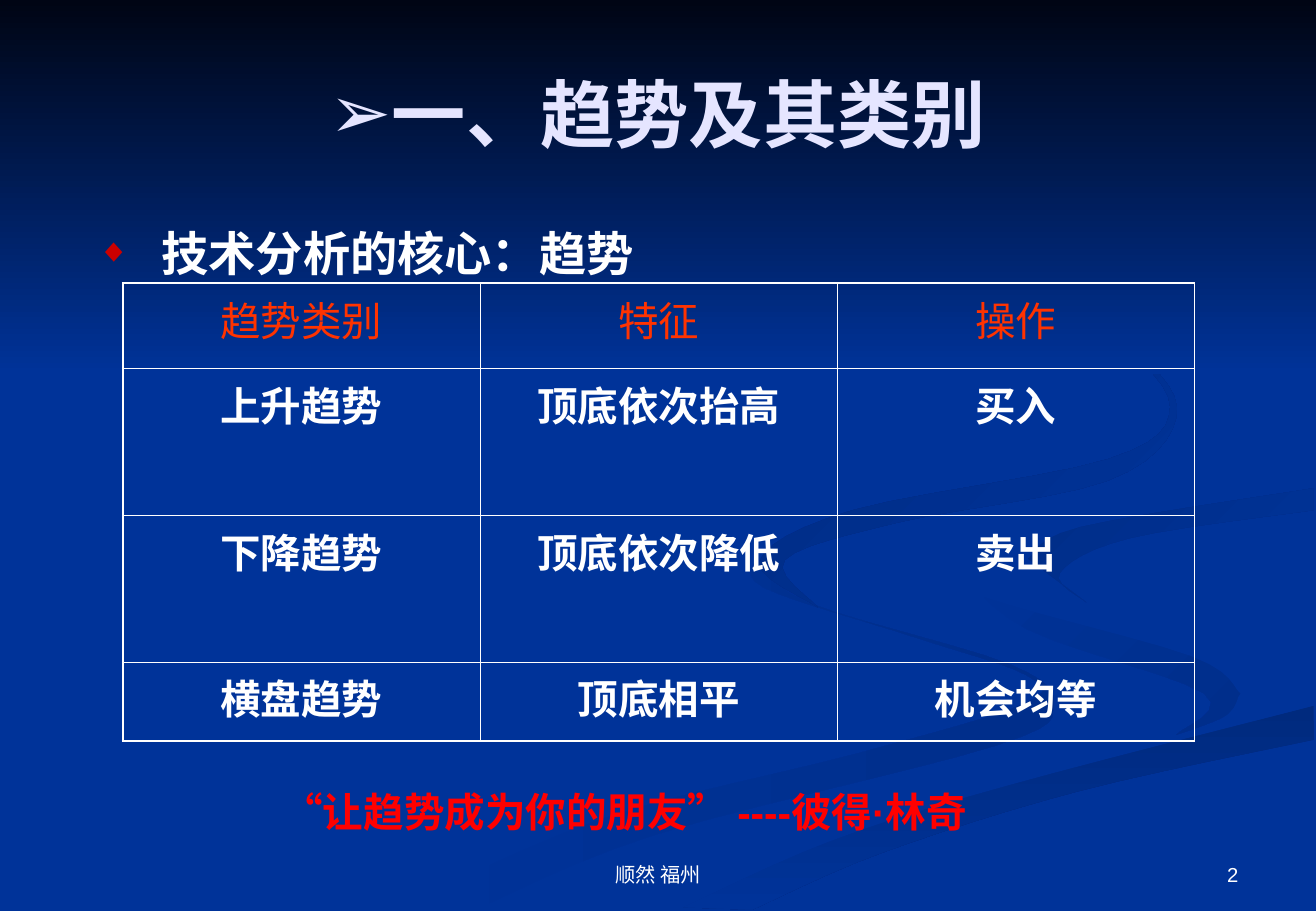
from lxml import etree
from pptx import Presentation
from pptx.dml.color import RGBColor
from pptx.enum.shapes import MSO_SHAPE
from pptx.enum.text import MSO_ANCHOR, MSO_AUTO_SIZE, PP_ALIGN
from pptx.oxml.ns import qn
from pptx.util import Inches, Pt

LEFT, CENTER, RIGHT = PP_ALIGN.LEFT, PP_ALIGN.CENTER, PP_ALIGN.RIGHT
TOP, MIDDLE, BOTTOM = MSO_ANCHOR.TOP, MSO_ANCHOR.MIDDLE, MSO_ANCHOR.BOTTOM
FIT = MSO_AUTO_SIZE.SHAPE_TO_FIT_TEXT
RECTANGLE = MSO_SHAPE.RECTANGLE
SANS, SERIF, CJK = "Arial", "Times New Roman", "Noto Sans CJK SC"

COLORS = {
    "blue": "003399", "night": "000514", "title": "E5E5FF", "white": "FFFFFF",
    "diamond": "CC0000", "header": "FF3300", "quote": "FF0000",
    "shade1": "002E8B", "shade2": "002A7E", "shade3": "002D87", "shade4": "002B82",
}

# Edges of the wide background band, shared by neighbouring ribbons
BAND_TOP = [(10.81, 3.87), (8.98, 4.15), (8.03, 4.39), (7.84, 4.64)]
BAND_MID = [(7.84, 4.64), (8.06, 4.9), (9.8, 5.4), (10.21, 5.71)]
BAND_LOW = [(10.21, 5.71), (9.87, 6), (8.05, 6.43), (6.21, 7.03), (5.17, 7.49)]
HOLLOW_LOW = [(5.62, 7.47), (6.82, 6.93), (8.28, 6.47), (10.81, 5.81)]
HOLLOW_MID = [(10.81, 5.38), (9.19, 5.03), (8.46, 4.6)]
HOLLOW_TOP = [(8.46, 4.6), (8.89, 4.34), (10.81, 4.02)]

# Ribbons: first colour, last colour, clockwise angle, edges in drawing order
RIBBONS = [
    ("blue", "shade1", 0, [
        [(6.23, 4.59), (6.29, 4.84), (7.54, 5.25), (8.45, 5.56), (8.44, 5.79), (7.07, 6.2),
         (4.96, 6.74), (3.25, 7.49)],
        [(3.91, 7.49), (5.4, 6.87), (8.19, 6.14), (8.67, 5.81), (8.31, 5.47), (6.65, 4.96),
         (6.23, 4.59)]]),
    ("blue", "shade1", 45, [
        BAND_MID, [(10.21, 5.71), (10.09, 5.89), (9.68, 6.05)],
        [(9.68, 6.05), (9.91, 5.71), (8.45, 5.18), (7.84, 4.64)]]),
    ("shade2", "blue", 90, [
        HOLLOW_LOW, [(10.81, 6.09), (8.89, 6.51), (7.26, 7.02), (6.19, 7.49)]]),
    ("blue", "blue", 0, [BAND_TOP, BAND_MID, BAND_LOW, HOLLOW_LOW, HOLLOW_MID, HOLLOW_TOP]),
    ("shade3", "blue", 45, [
        HOLLOW_TOP, [(10.81, 4.2), (9.3, 4.43), (8.72, 4.72), (8.94, 4.96)],
        [(8.94, 4.96), (8.46, 4.6)]]),
    ("shade4", "blue", 45, [
        [(8.26, 2.33), (9.35, 2.91), (9.68, 3.44), (9.11, 3.96), (7.4, 4.3), (6.46, 4.61),
         (6.73, 5)],
        [(6.73, 5), (6.25, 4.62), (7.02, 4.2), (9.12, 3.78), (9.63, 3.35), (9.16, 2.79),
         (8.26, 2.33)]]),
]

TREND_ROWS = [
    ("趋势类别", "特征", "操作"),
    ("上升趋势", "顶底依次抬高", "买入"),
    ("下降趋势", "顶底依次降低", "卖出"),
    ("横盘趋势", "顶底相平", "机会均等"),
]
ROW_HEIGHTS = [0.7, 1.21, 1.21, 0.65]


def rgb(name):
    return RGBColor.from_string(COLORS[name])


def smooth(edge, steps=6):
    """Points of a Catmull-Rom curve through the points of an open edge."""
    ends = [edge[0], *edge, edge[-1]]
    curve = [edge[0]]
    for quad in zip(ends, ends[1:], ends[2:], ends[3:]):
        for k in range(1, steps + 1):
            t = k / steps
            curve.append(tuple(
                b + t * (c - a + t * (2 * a - 5 * b + 4 * c - d + t * (3 * b - 3 * c + d - a))) / 2
                for a, b, c, d in zip(*quad)))
    return curve


def paint_gradient(shape, first, last, angle):
    shape.shadow.inherit = False
    shape.line.fill.background()
    shape.fill.gradient()
    shape.fill.gradient_angle = (360 - angle) % 360
    for stop, color, position in zip(shape.fill.gradient_stops, (first, last), (0, 1)):
        stop.color.rgb = rgb(color)
        stop.position = position


def add_ribbon(s, first, last, angle, edges):
    points = [(Inches(x), Inches(y)) for edge in edges for x, y in smooth(edge)]
    builder = s.shapes.build_freeform(*points[0])
    builder.add_line_segments(points[1:], close=True)
    paint_gradient(builder.convert_to_shape(), first, last, angle)


def add_run(p, text, size, color, font, bold=False):
    r = p.add_run()
    r.text = text
    r.font.size = Pt(size)
    r.font.bold = bold
    r.font.name = font
    r.font.color.rgb = rgb(color)
    etree.SubElement(r.font._element, qn("a:ea"), typeface=CJK)


def add_bullet(p, char, color, percent, hang):
    pPr = p._p.get_or_add_pPr()
    pPr.set("marL", str(Inches(hang)))
    pPr.set("indent", str(Inches(-hang)))
    clr = etree.SubElement(pPr, qn("a:buClr"))
    etree.SubElement(clr, qn("a:srgbClr"), val=COLORS[color])
    etree.SubElement(pPr, qn("a:buSzPct"), val=str(percent * 1000))
    etree.SubElement(pPr, qn("a:buFont"), typeface=SANS)
    etree.SubElement(pPr, qn("a:buChar"), char=char)


def add_text(s, box, text, size, color, font, bold=False, align=CENTER, anchor=TOP, bullet=None):
    tf = s.shapes.add_textbox(*map(Inches, box)).text_frame
    tf.word_wrap = True
    tf.vertical_anchor = anchor
    p = tf.paragraphs[0]
    if bullet:
        add_bullet(p, *bullet)
    p.alignment = align
    add_run(p, text, size, color, font, bold)
    return tf


def set_border(cell, side, width):
    ln = etree.SubElement(cell._tc.get_or_add_tcPr(), qn("a:" + side), w=str(Pt(width)))
    fill = etree.SubElement(ln, qn("a:solidFill"))
    etree.SubElement(fill, qn("a:srgbClr"), val=COLORS["white"])


def add_trend_table(s):
    n_rows, n_cols = len(TREND_ROWS), len(TREND_ROWS[0])
    table = s.shapes.add_table(n_rows, n_cols, Inches(1.01), Inches(2.33),
                               Inches(8.82), Inches(sum(ROW_HEIGHTS))).table
    table.first_row = table.horz_banding = False
    for i, texts in enumerate(TREND_ROWS):
        table.rows[i].height = Inches(ROW_HEIGHTS[i])
        for j, text in enumerate(texts):
            cell = table.cell(i, j)
            # Thick lines on the outer edge, thin lines inside
            outer = {"lnL": j == 0, "lnR": j == n_cols - 1, "lnT": i == 0, "lnB": i == n_rows - 1}
            for side, is_outer in outer.items():
                set_border(cell, side, 1.08 if is_outer else 0.45)
            cell.fill.background()
            p = cell.text_frame.paragraphs[0]
            p.alignment = CENTER
            add_run(p, text, 24, "white" if i else "header", SERIF, bold=i > 0)


def main():
    prs = Presentation()
    prs.slide_width, prs.slide_height = Inches(10.83), Inches(7.5)
    s = prs.slides.add_slide(prs.slide_layouts[6])

    # Background
    s.background.fill.solid()
    s.background.fill.fore_color.rgb = rgb("blue")
    for ribbon in RIBBONS:
        add_ribbon(s, *ribbon)
    sky = s.shapes.add_shape(RECTANGLE, 0, 0, prs.slide_width, Inches(3.08))
    paint_gradient(sky, "night", "blue", 90)

    # Title and key point
    add_text(s, (0.54, 0.3, 9.75, 1.25), "一、趋势及其类别", 44, "title", SERIF, bold=True,
             anchor=MIDDLE, bullet=("➢", "title", 100, 0))
    tf = add_text(s, (0.69, 1.7, 9.21, 0.67), "技术分析的核心：趋势", 28, "white", CJK, bold=True,
                  align=LEFT, bullet=("◆", "diamond", 70, 0.53))
    tf.margin_left = tf.margin_right = Inches(0.11)
    tf.paragraphs[0].line_spacing = 1.2
    tf.auto_size = FIT

    # Trend table and quotation
    add_trend_table(s)
    add_text(s, (2.03, 6.43, 6.22, 0.9), "“让趋势成为你的朋友” ----彼得·林奇", 24, "quote", SANS,
             bold=True)

    # Footer
    add_text(s, (3.7, 6.83, 3.43, 0.52), "顺然 福州", 12, "white", SANS, anchor=BOTTOM)
    add_text(s, (7.76, 6.83, 2.53, 0.52), "2", 12, "white", SANS, align=RIGHT, anchor=BOTTOM)

    prs.save("out.pptx")


if __name__ == "__main__":
    main()
